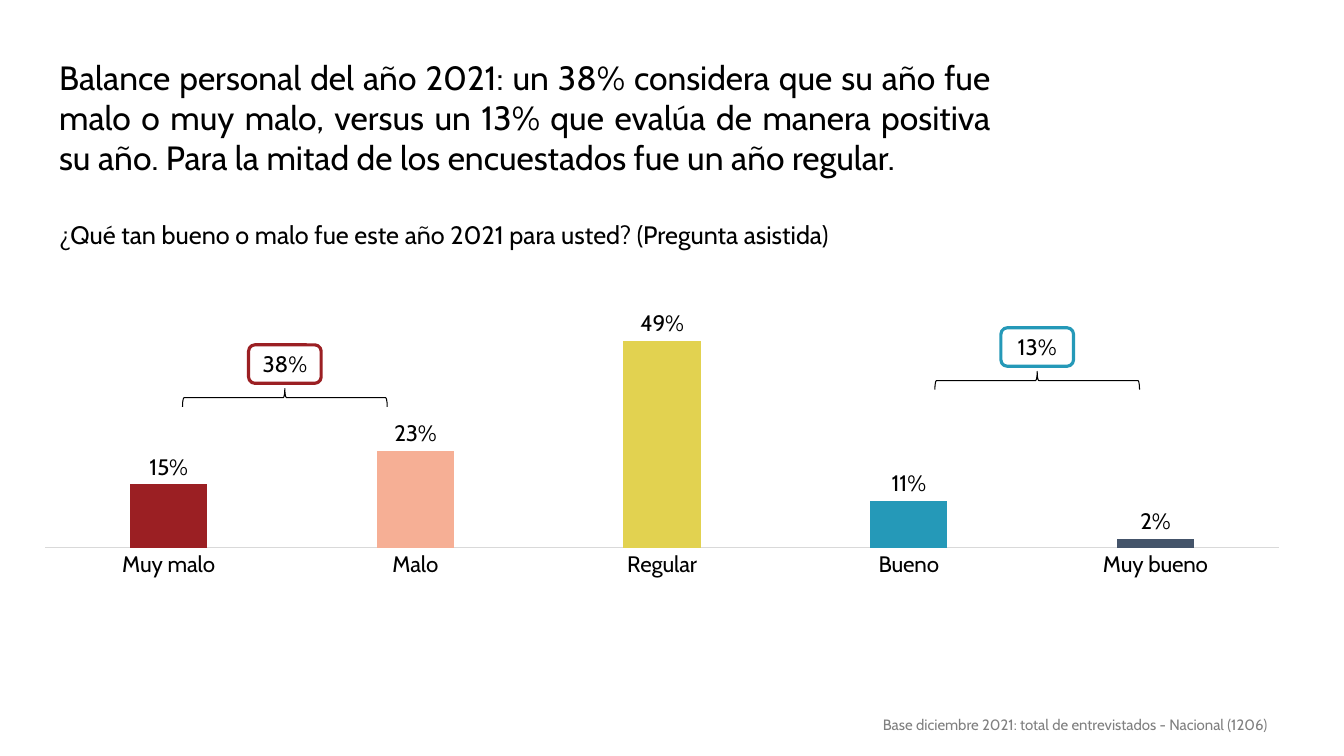
import pptx
import pptx.chart.data
import pptx.dml.color
import pptx.enum.chart
import pptx.enum.shapes
import pptx.enum.text
import pptx.util
from lxml import etree
from pptx.util import Cm, Pt

FONT = "Cabin"
COLORS = {
    "text": "000000", "note": "808080", "axis": "D9D9D9", "white": "FFFFFF",
    "very_bad": "9B1F23", "bad": "F6AF95", "regular": "E2D250",
    "good": "2599B8", "very_good": "44546A",
}
# Category, share, colour; the axis runs from right to left
ANSWERS = [
    ("Muy bueno", 0.02, "very_good"),
    ("Bueno", 0.11, "good"),
    ("Regular", 0.49, "regular"),
    ("Malo", 0.23, "bad"),
    ("Muy malo", 0.15, "very_bad"),
]
ALIGN = pptx.enum.text.PP_ALIGN


def rgb(name):
    return pptx.dml.color.RGBColor.from_string(COLORS[name])


def set_font(font, size, color="text"):
    font.name = FONT
    font.size = Pt(size)
    font.bold = False
    font.color.rgb = rgb(color)


def add_text(s, box, text, size, color="text", align=ALIGN.LEFT, spacing=None):
    tf = s.shapes.add_textbox(*map(Cm, box)).text_frame
    tf.word_wrap = True
    p = tf.paragraphs[0]
    p.text = text
    p.alignment = align
    p.line_spacing = spacing
    set_font(p.font, size, color)


def fix_plot_area(chart, x, y, w, h):
    """Place the inner plot area by fractions of the chart."""
    plot_area = chart.plots[0]._element.getparent()
    ns = "{%s}" % etree.QName(plot_area).namespace
    layout = plot_area.find(ns + "layout")
    if layout is None:
        layout = etree.Element(ns + "layout")
        plot_area.insert(0, layout)
    manual = etree.SubElement(layout, ns + "manualLayout")
    settings = [("layoutTarget", "inner"), ("xMode", "edge"), ("yMode", "edge"),
                ("x", x), ("y", y), ("w", w), ("h", h)]
    for tag, value in settings:
        etree.SubElement(manual, ns + tag).set("val", str(value))


def add_answers_chart(s, box):
    data = pptx.chart.data.CategoryChartData(number_format="0%")
    data.categories = [name for name, _, _ in ANSWERS]
    data.add_series("Respuestas", [share for _, share, _ in ANSWERS])
    chart = s.shapes.add_chart(
        pptx.enum.chart.XL_CHART_TYPE.COLUMN_CLUSTERED, *map(Cm, box), data).chart
    chart.has_legend = False
    chart.has_title = False
    set_font(chart.font, 14)
    fix_plot_area(chart, 0.012, 0.1, 0.976, 0.595)

    # Axes
    axis = chart.category_axis
    axis.reverse_order = True
    axis.major_tick_mark = pptx.enum.chart.XL_TICK_MARK.NONE
    axis.format.line.color.rgb = rgb("axis")
    axis.format.line.width = Pt(0.75)
    set_font(axis.tick_labels.font, 16)
    values = chart.value_axis
    values.minimum_scale, values.maximum_scale = 0, 0.6
    values.has_major_gridlines = False
    values.visible = False

    # Columns and their labels
    plot = chart.plots[0]
    plot.vary_by_categories = False
    plot.gap_width, plot.overlap = 219, -27
    series = plot.series[0]
    for i, (_, _, color) in enumerate(ANSWERS):
        fill = series.points[i].format.fill
        fill.solid()
        fill.fore_color.rgb = rgb(color)
    labels = series.data_labels
    labels.show_value = True
    labels.position = pptx.enum.chart.XL_LABEL_POSITION.OUTSIDE_END
    labels.number_format = "0%"
    labels.number_format_is_linked = False
    set_font(labels.font, 16)


def add_total(s, box, text, color):
    """A framed total centred above a brace that spans the box."""
    left, top, width, height = box
    center = left + width / 2
    shapes = pptx.enum.shapes.MSO_SHAPE

    # Brace, drawn upright and turned to open downwards
    depth = 0.46
    brace = s.shapes.add_shape(
        shapes.RIGHT_BRACE, Cm(center - depth / 2),
        Cm(top + height - depth / 2 - width / 2), Cm(depth), Cm(width))
    brace.rotation = 270
    brace.shadow.inherit = False
    brace.fill.background()
    brace.line.color.rgb = rgb("text")
    brace.line.width = Pt(0.75)

    # Frame
    frame_w, frame_h = 1.83, 0.97
    frame = s.shapes.add_shape(
        shapes.ROUNDED_RECTANGLE, Cm(center - frame_w / 2), Cm(top),
        Cm(frame_w), Cm(frame_h))
    frame.shadow.inherit = False
    frame.fill.solid()
    frame.fill.fore_color.rgb = rgb("white")
    frame.line.color.rgb = rgb(color)
    frame.line.width = Pt(2.25)
    tf = frame.text_frame
    tf.vertical_anchor = pptx.enum.text.MSO_ANCHOR.MIDDLE
    p = tf.paragraphs[0]
    p.text = text
    p.alignment = ALIGN.CENTER
    set_font(p.font, 16)


def add_heading(s, box):
    left, top, width, height = box
    add_text(s, (left, top, 23.98, 3.25),
             "Balance personal del año 2021: un 38% considera que su año fue malo "
             "o muy malo, versus un 13% que evalúa de manera positiva su año. "
             "Para la mitad de los encuestados fue un año regular.",
             24, align=ALIGN.JUSTIFY)
    add_text(s, (left, top + height - 1.02, width, 1.02),
             "¿Qué tan bueno o malo fue este año 2021 para usted? "
             "(Pregunta asistida)", 18)


def main():
    prs = pptx.Presentation()
    prs.slide_width, prs.slide_height = Cm(33.87), Cm(19.05)
    s = prs.slides.add_slide(prs.slide_layouts[6])
    add_text(s, (22, 17.96, 10.67, 0.66),
             "Base diciembre 2021: total de entrevistados - Nacional (1206)",
             10.7, "note", ALIGN.JUSTIFY, 0.9)
    add_heading(s, (1.24, 1.3, 30.81, 5.13))
    add_answers_chart(s, (0.76, 6.35, 31.85, 10.72))
    add_total(s, (4.6, 8.69, 5.16, 1.56), "38%", "very_bad")
    add_total(s, (23.56, 8.26, 5.16, 1.56), "13%", "good")
    prs.save("out.pptx")


if __name__ == "__main__":
    main()
